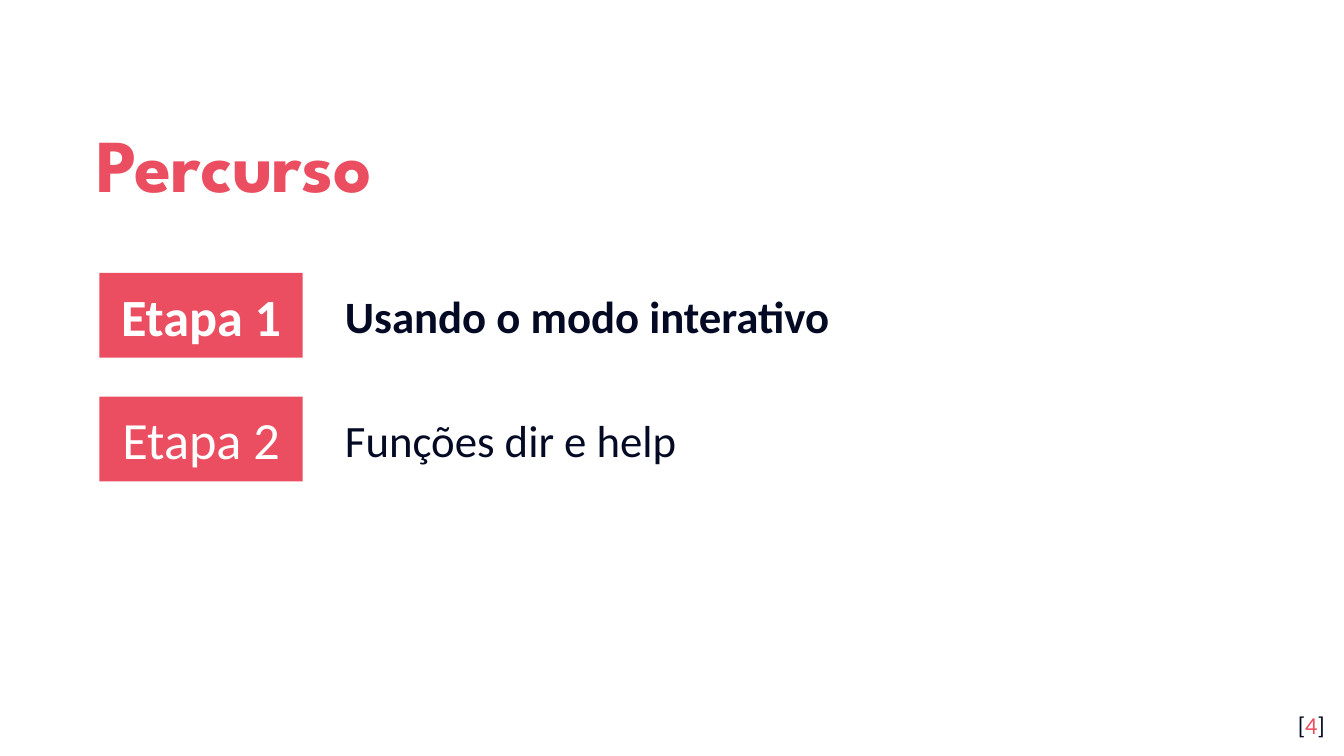
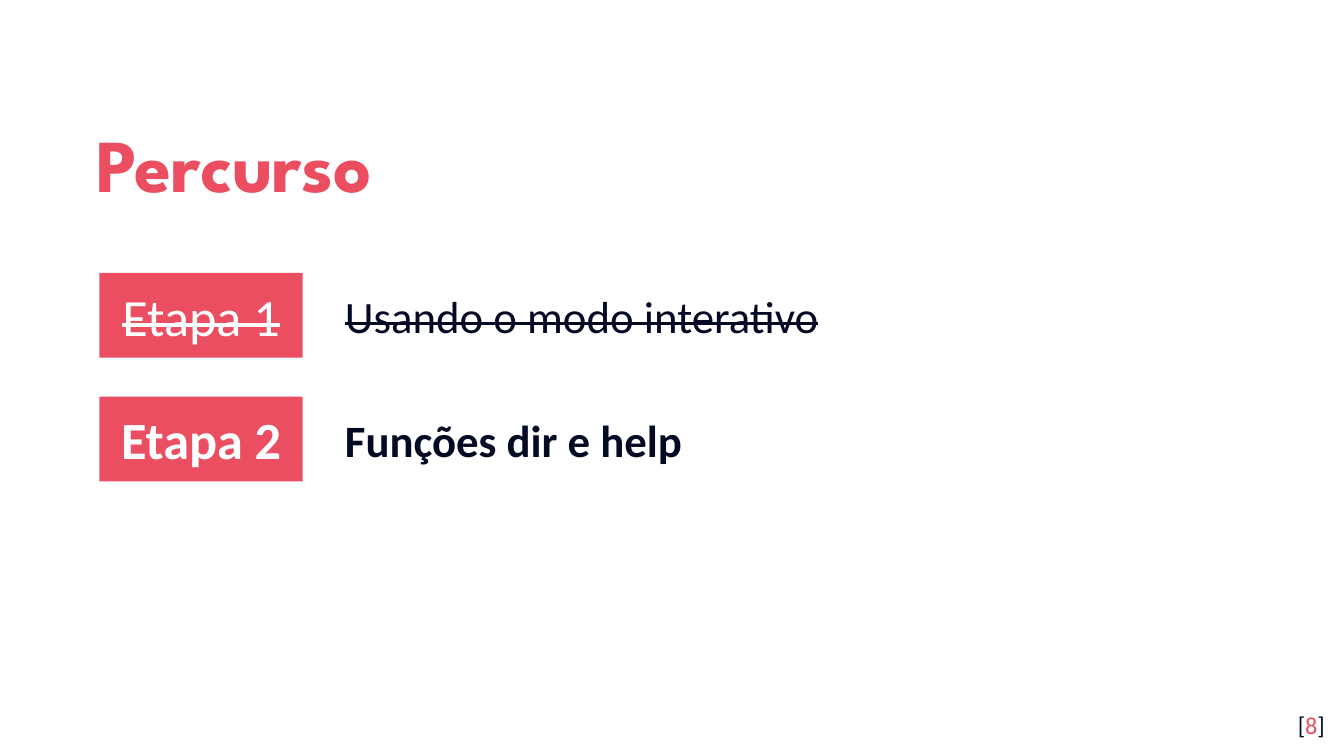
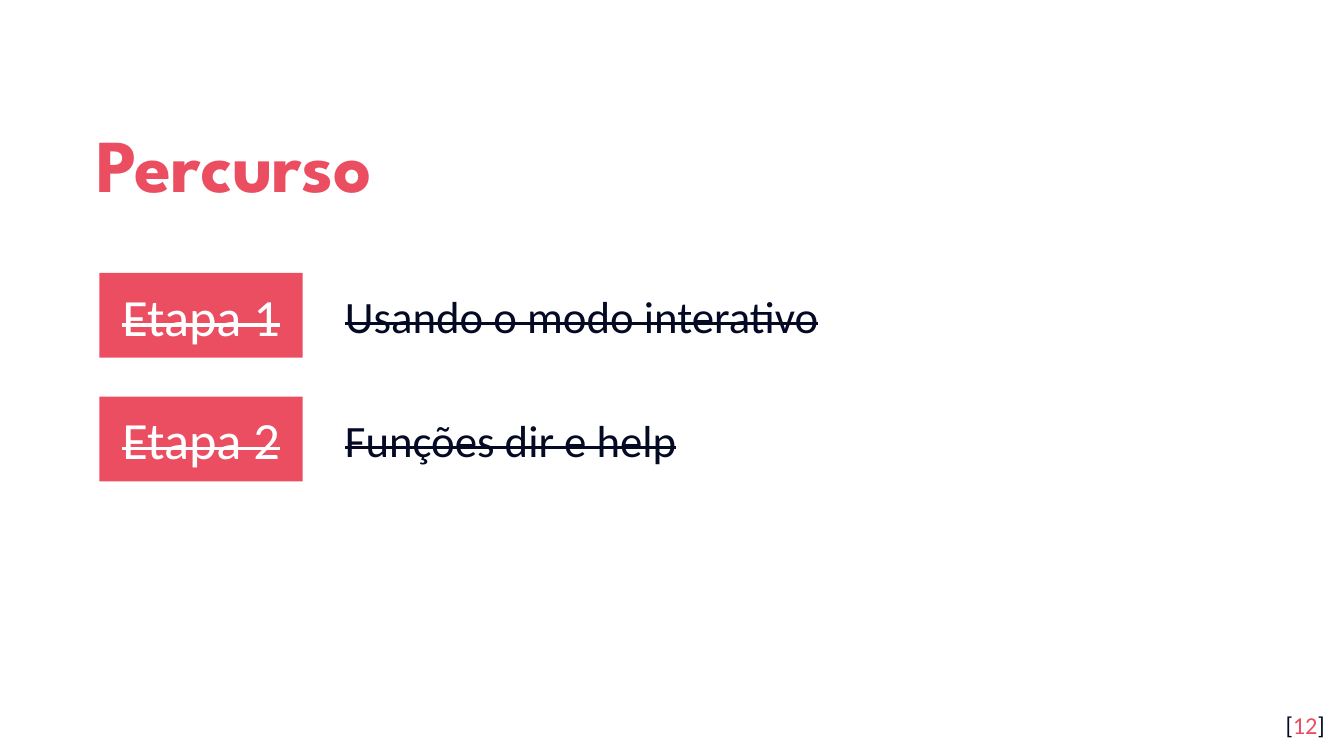
from pptx import Presentation
from pptx.dml.color import RGBColor
from pptx.enum.shapes import MSO_SHAPE
from pptx.enum.text import MSO_ANCHOR, MSO_AUTO_SIZE, PP_ALIGN
from pptx.util import Cm, Pt
from lxml import etree

LEFT, CENTER, RIGHT = PP_ALIGN.LEFT, PP_ALIGN.CENTER, PP_ALIGN.RIGHT
TOP, MIDDLE = MSO_ANCHOR.TOP, MSO_ANCHOR.MIDDLE
NO_AUTOFIT = MSO_AUTO_SIZE.NONE
RECTANGLE = MSO_SHAPE.RECTANGLE
A_NS = "http://schemas.openxmlformats.org/drawingml/2006/main"


class Theme:
    accent = RGBColor.from_string("EA4E60")
    dark = RGBColor.from_string("040A24")
    white = RGBColor.from_string("FFFFFF")
    title_font, body_font = "League Spartan", "Calibri"
    title_size, badge_size, step_size, page_size = Pt(40), Pt(28), Pt(24), Pt(13)
    inset, tight_inset = Cm(0.25), Cm(0.13)


TITLE = {"left": Cm(1.57), "top": Cm(1.78), "width": Cm(20.57), "height": Cm(2.34)}
BADGE = {"left": Cm(1.88), "width": Cm(3.84), "height": Cm(1.6)}
STEP = {"left": Cm(6.27), "width": Cm(17.15), "height": Cm(1.27)}
PAGE = {"left": Cm(23.77), "top": Cm(13.18), "width": Cm(1.52), "height": Cm(1.09)}
FIRST_ROW, ROW_PITCH = Cm(5.16), Cm(2.34)
HANGING = Cm(1.27)

STEPS = ["Usando o modo interativo", "Funções dir e help"]
# Page number and the step under way (past the last one when all are done)
PAGES = [(4, 0), (8, 1), (12, 2)]


def set_frame(sp, align, anchor, inset_y):
    """Set the text frame and return its first paragraph."""
    tf = sp.text_frame
    frame = {"word_wrap": True, "auto_size": NO_AUTOFIT, "vertical_anchor": anchor,
             "margin_left": Theme.inset, "margin_right": Theme.inset,
             "margin_top": inset_y, "margin_bottom": inset_y}
    for name, value in frame.items():
        setattr(tf, name, value)
    p = tf.paragraphs[0]
    p.alignment = align
    p.space_before = Pt(0)
    return p


def add_run(p, text, color, size, font=Theme.body_font, bold=False, strike=False):
    r = p.add_run()
    r.text = text
    for name, value in {"name": font, "size": size, "bold": bold}.items():
        setattr(r.font, name, value)
    r.font.color.rgb = color
    if strike:
        r._r.get_or_add_rPr().set("strike", "sngStrike")


prs = Presentation()
prs.slide_width, prs.slide_height = Cm(25.4), Cm(14.29)
layout = prs.slide_layouts.get_by_name("Two Content")

for page, current in PAGES:
    s = prs.slides.add_slide(layout)
    title, *bodies = s.placeholders

    for name, value in TITLE.items():
        setattr(title, name, value)
    p = set_frame(title, LEFT, MIDDLE, Theme.inset)
    p.line_spacing = 1.15
    add_run(p, "Percurso", Theme.accent, Theme.title_size, Theme.title_font, bold=True)

    for i, (body, step) in enumerate(zip(bodies, STEPS)):
        top = FIRST_ROW + i * ROW_PITCH
        state = {"bold": i == current, "strike": i < current}

        badge = s.shapes.add_shape(RECTANGLE, top=top, **BADGE)
        badge.shadow.inherit = False
        badge.fill.solid()
        badge.fill.fore_color.rgb = Theme.accent
        badge.line.fill.background()
        p = set_frame(badge, CENTER, MIDDLE, Theme.inset)
        add_run(p, f"Etapa {i + 1}", Theme.white, Theme.badge_size, **state)

        body.top = top + (BADGE["height"] - STEP["height"]) // 2
        for name, value in STEP.items():
            setattr(body, name, value)
        p = set_frame(body, LEFT, TOP, Theme.tight_inset)
        pPr = p._p.get_or_add_pPr()
        pPr.set("marL", str(HANGING))
        pPr.set("indent", str(-HANGING))
        etree.SubElement(pPr, f"{{{A_NS}}}buNone")
        add_run(p, step, Theme.dark, Theme.step_size, **state)

    number = s.shapes.add_textbox(**PAGE)
    p = set_frame(number, RIGHT, TOP, Theme.inset)
    for text, color in [("[", Theme.dark), (str(page), Theme.accent), ("]", Theme.dark)]:
        add_run(p, text, color, Theme.page_size)

prs.save("out.pptx")
